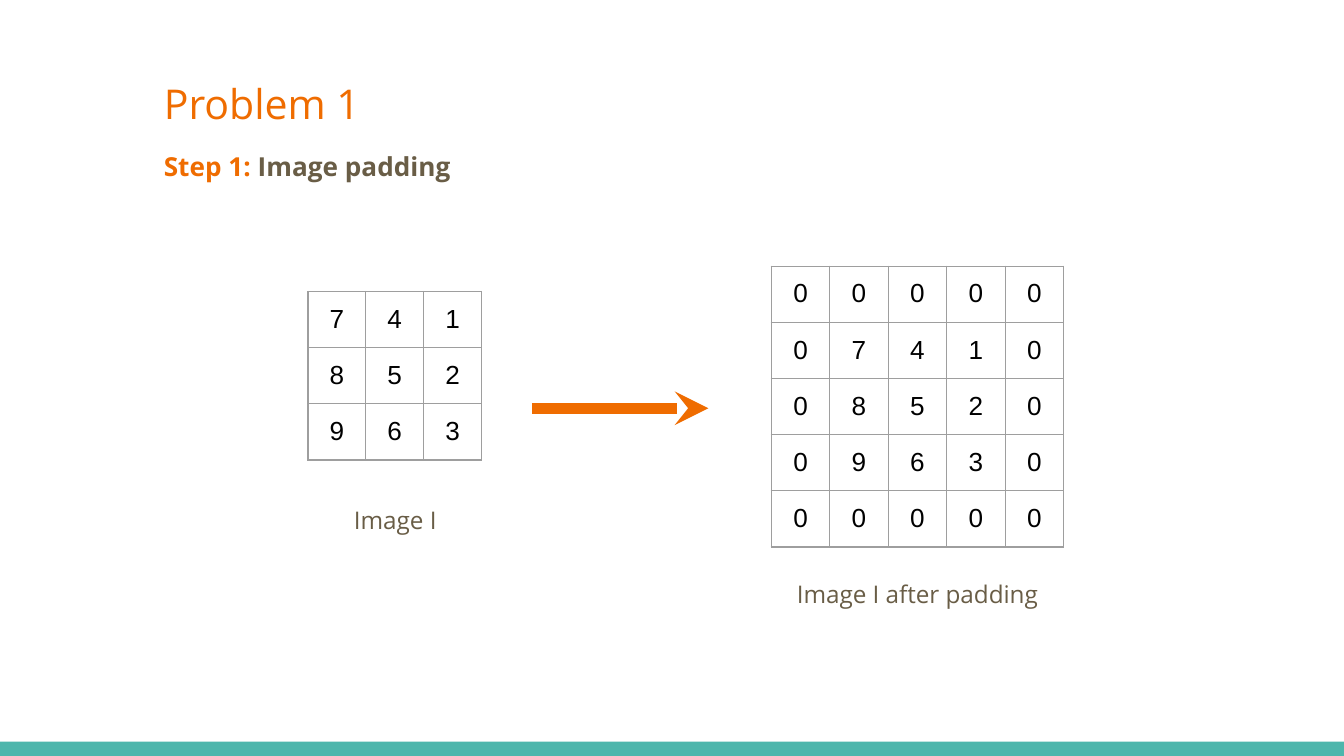
import dataclasses

import lxml.etree
import pptx
import pptx.dml.color
import pptx.enum.shapes
import pptx.enum.text
import pptx.oxml
import pptx.oxml.ns
import pptx.util

Pt = pptx.util.Pt
ALIGN = pptx.enum.text.PP_ALIGN


@dataclasses.dataclass(frozen=True)
class Theme:
    accent: str = "EF6C00"
    text: str = "695D46"
    digit: str = "000000"
    grid: str = "9E9E9E"
    band: str = "4DB6AC"
    font: str = "Open Sans"
    digit_font: str = "Arial"
    title_size: float = 22
    body_size: float = 14
    caption_size: float = 13
    inset: float = 7.2
    cell_inset: float = 7
    grid_width: float = 0.75
    arrow_width: float = 6


class PaddingSlide:
    """Draws the elements of one slide in a shared style."""

    def __init__(self, slide, theme):
        self.slide = slide
        self.theme = theme

    def color(self, value):
        return pptx.dml.color.RGBColor.from_string(value)

    def style(self, run, size, color, bold=False, font=None):
        run.font.name = font or self.theme.font
        run.font.size = Pt(size)
        run.font.bold = bold
        run.font.color.rgb = self.color(color)

    def frame(self, holder, box):
        holder.left, holder.top, holder.width, holder.height = map(Pt, box)
        frame = holder.text_frame
        frame.word_wrap = True
        frame.auto_size = pptx.enum.text.MSO_AUTO_SIZE.NONE
        frame.vertical_anchor = pptx.enum.text.MSO_ANCHOR.TOP
        frame.margin_left = frame.margin_right = Pt(self.theme.inset)
        frame.margin_top = frame.margin_bottom = Pt(self.theme.inset)
        return frame

    def title(self, text, box):
        frame = self.frame(self.slide.shapes.title, box)
        frame.text = text
        heading = frame.paragraphs[0]
        heading.alignment = ALIGN.LEFT
        self.style(heading.runs[0], self.theme.title_size, self.theme.accent)

    def step(self, label, text, box):
        step = self.frame(self.slide.placeholders[1], box).paragraphs[0]
        step.alignment = ALIGN.JUSTIFY
        step.space_before = Pt(0)
        properties = step._p.get_or_add_pPr()
        properties.set("marL", "0")
        properties.set("indent", "0")
        lxml.etree.SubElement(properties, pptx.oxml.ns.qn("a:buNone"))
        for words, color in ((label, self.theme.accent), (text, self.theme.text)):
            run = step.add_run()
            run.text = words
            self.style(run, self.theme.body_size, color, bold=True)

    def caption(self, text, box):
        frame = self.frame(self.slide.shapes.add_textbox(*map(Pt, box)), box)
        frame.text = text
        caption = frame.paragraphs[0]
        caption.alignment = ALIGN.CENTER
        self.style(caption.runs[0], self.theme.caption_size, self.theme.text)

    def band(self, box):
        band = self.slide.shapes.add_shape(
            pptx.enum.shapes.MSO_SHAPE.RECTANGLE, *map(Pt, box))
        band.shadow.inherit = False
        band.fill.solid()
        band.fill.fore_color.rgb = self.color(self.theme.band)
        band.line.fill.background()

    def matrix(self, values, left, top, column_width, row_height):
        rows, columns = len(values), len(values[0])
        table = self.slide.shapes.add_table(
            rows, columns, Pt(left), Pt(top),
            Pt(columns * column_width), Pt(rows * row_height)).table
        table.first_row = table.horz_banding = False
        for column in table.columns:
            column.width = Pt(column_width)
        for row, numbers in zip(table.rows, values):
            row.height = Pt(row_height)
            for cell, number in zip(row.cells, numbers):
                self.cell(cell, number)

    def cell(self, cell, number):
        cell.margin_left = cell.margin_right = Pt(self.theme.cell_inset)
        cell.margin_top = cell.margin_bottom = Pt(self.theme.cell_inset)
        cell.fill.background()
        cell.text = str(number)
        digit = cell.text_frame.paragraphs[0]
        digit.alignment = ALIGN.CENTER
        self.style(digit.runs[0], self.theme.body_size, self.theme.digit,
                   font=self.theme.digit_font)
        properties = cell._tc.get_or_add_tcPr()
        for position, side in enumerate("LRTB"):
            properties.insert(position, pptx.oxml.parse_xml(
                f'<a:ln{side} {pptx.oxml.ns.nsdecls("a")} '
                f'w="{Pt(self.theme.grid_width)}"><a:solidFill>'
                f'<a:srgbClr val="{self.theme.grid}"/></a:solidFill></a:ln{side}>'))

    def arrow(self, start, end, y):
        arrow = self.slide.shapes.add_connector(
            pptx.enum.shapes.MSO_CONNECTOR.STRAIGHT, Pt(start), Pt(y), Pt(end), Pt(y))
        arrow.line.color.rgb = self.color(self.theme.accent)
        arrow.line.width = Pt(self.theme.arrow_width)
        qn = pptx.oxml.ns.qn
        lxml.etree.SubElement(
            arrow.line._get_or_add_ln(), qn("a:tailEnd"), type="stealth")
        lxml.etree.SubElement(arrow._element.spPr, qn("a:effectLst"))


def zero_padded(values):
    border = [0] * (len(values[0]) + 2)
    return [border, *([0, *row, 0] for row in values), border]


def main():
    presentation = pptx.Presentation()
    presentation.slide_width, presentation.slide_height = Pt(720), Pt(405)
    slide = presentation.slides.add_slide(presentation.slide_layouts[1])
    page = PaddingSlide(slide, Theme())
    image = [[7, 4, 1], [8, 5, 2], [9, 6, 3]]

    page.band((0, 397.3, 720, 7.7))
    page.title("Problem 1", (80.6, 34.6, 349.2, 41))
    page.step("Step 1:", " Image padding", (80.6, 73.4, 578.9, 31.7))
    page.matrix(image, 165, 156.2, 31, 30.1)
    page.matrix(zero_padded(image), 413.2, 142.6, 31.35, 30.1)
    page.caption("Image I", (144, 263.5, 135.4, 31.7))
    page.caption("Image I after padding", (406.8, 303.1, 169.2, 31.7))
    page.arrow(285, 379.5, 218.7)
    presentation.save("out.pptx")


if __name__ == "__main__":
    main()
